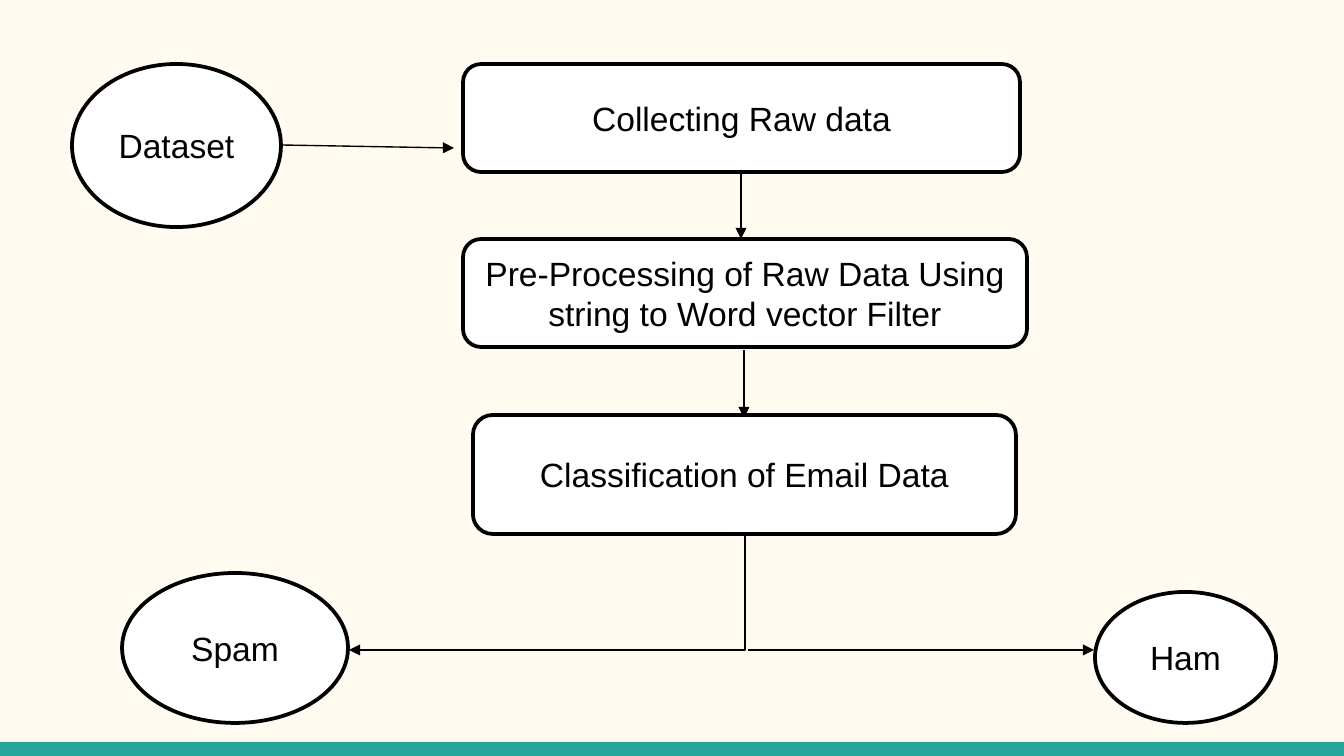
from lxml import etree
from pptx import Presentation
from pptx.dml.color import RGBColor
from pptx.enum.shapes import MSO_CONNECTOR as LINK, MSO_SHAPE as SHAPE
from pptx.enum.text import MSO_ANCHOR as ANCHOR, PP_ALIGN as ALIGN
from pptx.oxml.ns import qn
from pptx.util import Pt

PX = 914400 / 134.4
COLORS = {"cream": "FFFBF0", "teal": "26A69A", "white": "FFFFFF", "ink": "000000"}


def emu(*lengths):
    return [round(length * PX) for length in lengths]


def rgb(name):
    return RGBColor.from_string(COLORS[name])


deck = Presentation()
deck.slide_width, deck.slide_height = emu(1344, 756)
page = deck.slides.add_slide(deck.slide_layouts[6])
page.background.fill.solid()
page.background.fill.fore_color.rgb = rgb("cream")

footer = page.shapes.add_shape(SHAPE.RECTANGLE, *emu(0, 742, 1344, 14))
footer.shadow.inherit = False
footer.fill.solid()
footer.fill.fore_color.rgb = rgb("teal")
footer.line.fill.background()

# Arrows: kind, start x, start y, end x, end y
arrows = [
    (LINK.STRAIGHT, 281, 145, 454, 148),
    (LINK.STRAIGHT, 741, 172, 741, 239),
    (LINK.STRAIGHT, 744, 350, 744, 418),
    (LINK.ELBOW, 489, 394, 605, 790),  # before its quarter turn
    (LINK.STRAIGHT, 748, 650, 1094, 650),
]
for kind, *ends in arrows:
    arrow = page.shapes.add_connector(kind, *emu(*ends))
    arrow.line.color.rgb = rgb("ink")
    arrow.line.width = Pt(0.75)
    properties = arrow._element.spPr
    etree.SubElement(properties.find(qn("a:ln")), qn("a:tailEnd"), type="triangle")
    etree.SubElement(properties, qn("a:effectLst"))
    if kind == LINK.ELBOW:
        # One corner: down from the classification step, then left to Spam
        properties.find(qn("a:prstGeom")).set("prst", "bentConnector2")
        properties.find(qn("a:xfrm")).set("rot", str(90 * 60000))

# Steps: shape, left, top, width, height, label
steps = [
    (SHAPE.OVAL, 72, 64, 209, 163, "Dataset"),
    (SHAPE.ROUNDED_RECTANGLE, 463, 64, 557, 108, "Collecting Raw data"),
    (SHAPE.ROUNDED_RECTANGLE, 463, 239, 564, 108,
     "Pre-Processing of Raw Data Using string to Word vector Filter"),
    (SHAPE.ROUNDED_RECTANGLE, 473, 415, 543, 119, "Classification of Email Data"),
    (SHAPE.OVAL, 122, 573, 226, 150, "Spam"),
    (SHAPE.OVAL, 1095, 592, 181, 131, "Ham"),
]
for kind, left, top, width, height, label in steps:
    box = page.shapes.add_shape(kind, *emu(left, top, width, height))
    box.shadow.inherit = False
    box.fill.solid()
    box.fill.fore_color.rgb = rgb("white")
    box.line.color.rgb = rgb("ink")
    box.line.width = Pt(2)
    box.text_frame.word_wrap = True
    box.text_frame.vertical_anchor = ANCHOR.MIDDLE
    para = box.text_frame.paragraphs[0]
    para.text = label
    para.alignment = ALIGN.CENTER
    para.font.name = "Arial"
    para.font.size = Pt(18)
    para.font.color.rgb = rgb("ink")

deck.save("out.pptx")
